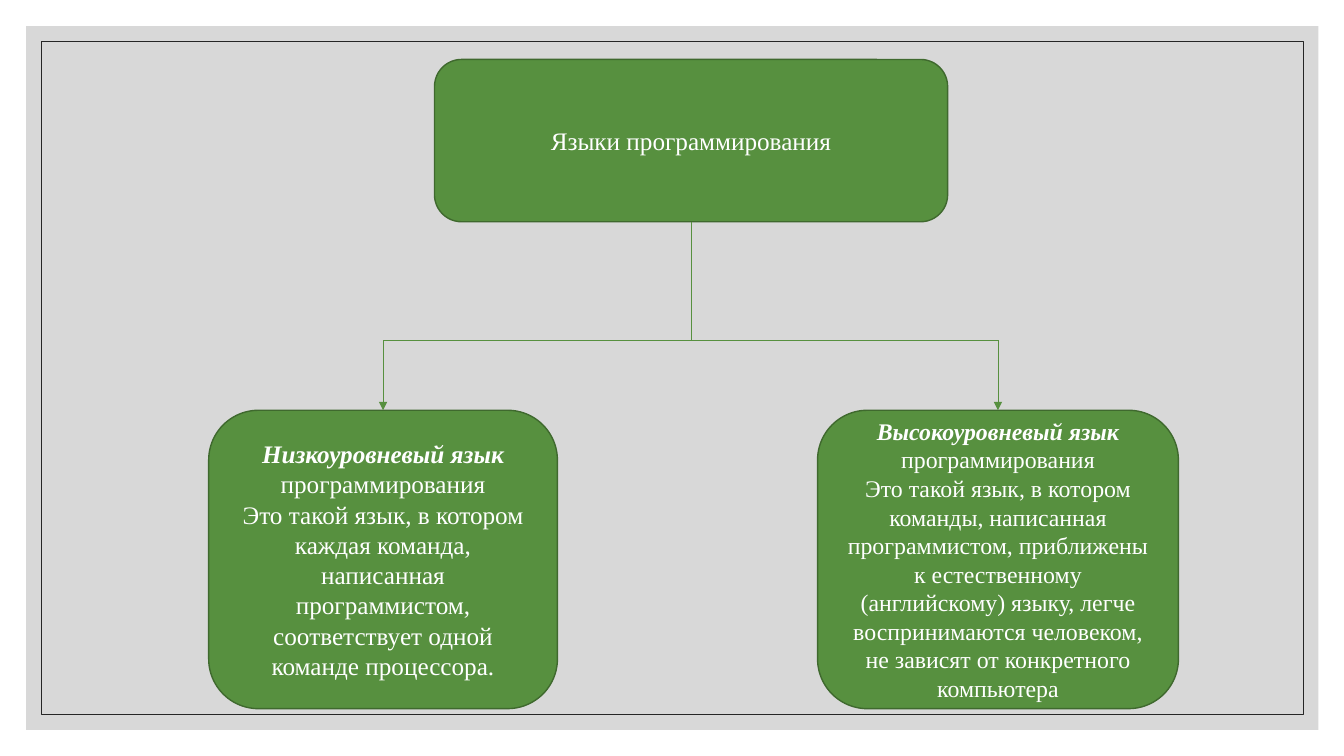
from lxml.etree import SubElement
from pptx import Presentation
from pptx.dml.color import RGBColor
from pptx.enum.shapes import MSO_CONNECTOR, MSO_SHAPE
from pptx.enum.text import MSO_ANCHOR, PP_ALIGN
from pptx.oxml.ns import qn
from pptx.util import Inches, Pt

COLORS = {
    "panel": "BFBFBF",
    "frame": "262626",
    "green": "57903F",
    "dark_green": "3F692E",
    "text": "FFFFFF",
}
FONT = "Times New Roman"
BLANK_LAYOUT = 6
TOP_SITE, BOTTOM_SITE = 0, 2

JUNCTION_ROW = 45
ROOT_AREA = (32.33, 7.87, 38.18, 21.47)
BRANCHES = [
    {
        "area": (15.53, 54.27, 25.95, 39.47),
        "size": 18,
        "term": "Низкоуровневый язык",
        "definition": "Это такой язык, в котором каждая команда, написанная "
                      "программистом, соответствует одной команде процессора.",
    },
    {
        "area": (60.83, 54.27, 26.85, 39.47),
        "size": 17,
        "term": "Высокоуровневый язык",
        "definition": "Это такой язык, в котором команды, написанная "
                      "программистом, приближены к естественному (английскому) "
                      "языку, легче воспринимаются человеком, не зависят от "
                      "конкретного компьютера",
    },
]


def color(name):
    return RGBColor.from_string(COLORS[name])


def add_text(paragraph, text, size=18, bold=False, italic=False):
    paragraph.alignment = PP_ALIGN.CENTER
    run = paragraph.add_run()
    run.text = text
    font = run.font
    font.name, font.size = FONT, Pt(size)
    font.bold, font.italic = bold, italic
    font.color.rgb = color("text")


class Diagram:
    """Draws on one slide with a grid of 100 columns by 100 rows."""

    def __init__(self, presentation):
        self.column = presentation.slide_width / 100
        self.row = presentation.slide_height / 100
        layout = presentation.slide_layouts[BLANK_LAYOUT]
        self.slide = presentation.slides.add_slide(layout)

    def point(self, column, row):
        return round(column * self.column), round(row * self.row)

    def shape(self, kind, area, fill=None, opacity=100, line=None, line_width=1):
        left, top, width, height = area
        shape = self.slide.shapes.add_shape(
            kind, *self.point(left, top), *self.point(width, height))
        shape.shadow.inherit = False
        if fill:
            shape.fill.solid()
            shape.fill.fore_color.rgb = color(fill)
            if opacity < 100:
                fill_color = shape.fill._xPr.find(qn("a:solidFill"))[0]
                SubElement(fill_color, qn("a:alpha"), val=str(opacity * 1000))
        else:
            shape.fill.background()
        if line:
            shape.line.color.rgb = color(line)
            shape.line.width = Pt(line_width)
        else:
            shape.line.fill.background()
        return shape

    def node(self, area):
        node = self.shape(MSO_SHAPE.ROUNDED_RECTANGLE, area,
                          fill="green", line="dark_green")
        frame = node.text_frame
        frame.word_wrap = True
        frame.vertical_anchor = MSO_ANCHOR.MIDDLE
        frame.margin_left = frame.margin_right = Inches(0.1)
        frame.margin_top = frame.margin_bottom = 0
        return node

    def connector(self, start, end, arrow=False):
        connector = self.slide.shapes.add_connector(
            MSO_CONNECTOR.STRAIGHT, *self.point(*start), *self.point(*end))
        connector.line.color.rgb = color("green")
        connector.line.width = Pt(0.5)
        if arrow:
            SubElement(connector.line._get_or_add_ln(), qn("a:tailEnd"),
                       type="triangle")
        SubElement(connector._element.spPr, qn("a:effectLst"))
        return connector


def center(area):
    """Return the middle column of an area."""
    return area[0] + area[2] / 2


def main():
    presentation = Presentation()
    presentation.slide_width = Inches(13.33)
    presentation.slide_height = Inches(7.5)
    diagram = Diagram(presentation)

    diagram.shape(MSO_SHAPE.RECTANGLE, (1.95, 3.47, 96.15, 93.07),
                  fill="panel", opacity=60)
    diagram.shape(MSO_SHAPE.RECTANGLE, (3.08, 5.47, 93.9, 89.07),
                  line="frame", line_width=0.5)

    root = diagram.node(ROOT_AREA)
    add_text(root.text_frame.paragraphs[0], "Языки программирования")
    junction = (center(ROOT_AREA), JUNCTION_ROW)
    trunk = diagram.connector((junction[0], ROOT_AREA[1] + ROOT_AREA[3]), junction)
    trunk.begin_connect(root, BOTTOM_SITE)

    for branch in BRANCHES:
        area, size = branch["area"], branch["size"]
        node = diagram.node(area)
        heading = node.text_frame.paragraphs[0]
        add_text(heading, branch["term"], size=size, bold=True, italic=True)
        add_text(heading, " программирования", size=size)
        add_text(node.text_frame.add_paragraph(), branch["definition"], size=size)

        corner = (center(area), JUNCTION_ROW)
        diagram.connector(junction, corner)
        arrow = diagram.connector(corner, (corner[0], area[1]), arrow=True)
        arrow.end_connect(node, TOP_SITE)

    presentation.save("out.pptx")


if __name__ == "__main__":
    main()
